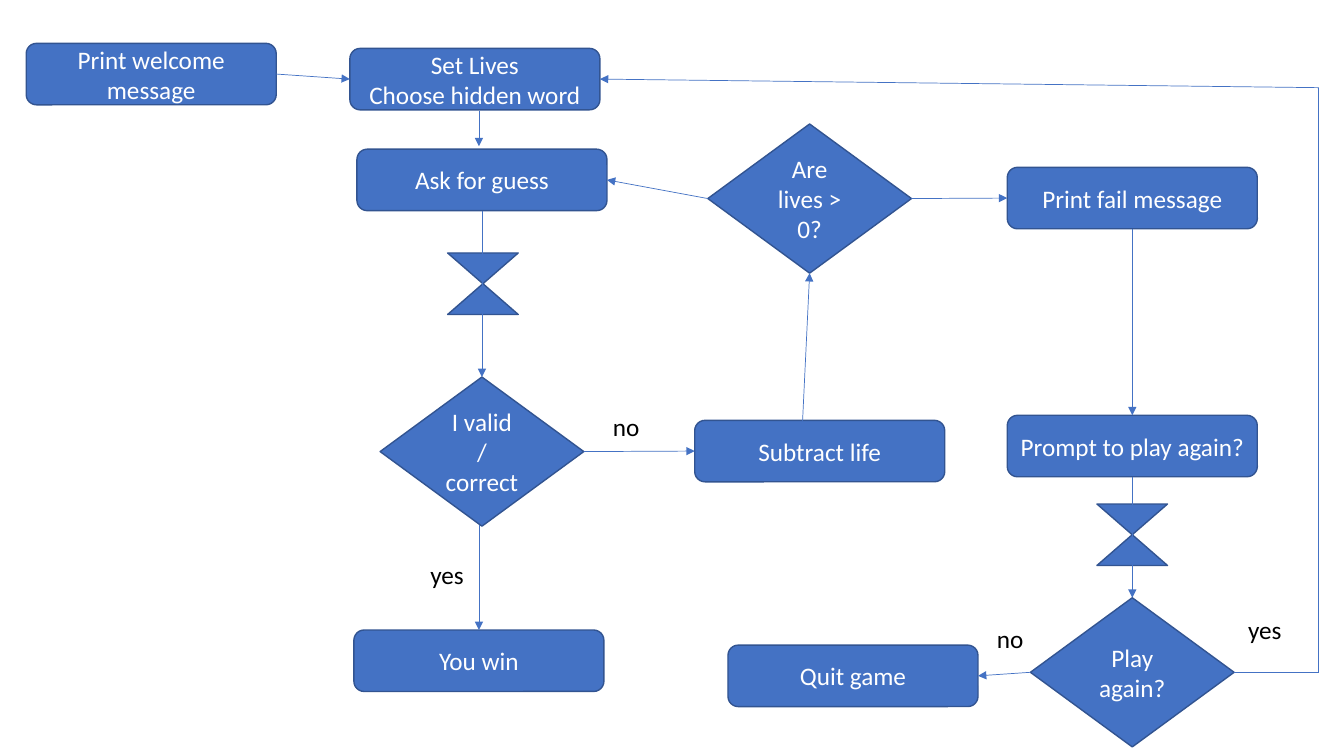
from lxml.etree import SubElement
from pptx import Presentation
from pptx.dml.color import RGBColor
from pptx.enum.shapes import MSO_CONNECTOR, MSO_SHAPE
from pptx.enum.text import MSO_ANCHOR, MSO_AUTO_SIZE, PP_ALIGN
from pptx.oxml.ns import qn
from pptx.util import Inches, Pt

BLUE, OUTLINE, WHITE, BLACK = "4472C4", "325491", "FFFFFF", "000000"
TOP, LEFT, BOTTOM, RIGHT = range(4)

KINDS = {
    "step": (MSO_SHAPE.FLOWCHART_ALTERNATE_PROCESS, 2.48, 0.61),
    "wait": (MSO_SHAPE.FLOWCHART_COLLATE, 0.7, 0.61),
    "decision": (MSO_SHAPE.FLOWCHART_DECISION, 2.02, 1.48),
}
NODES = {
    "welcome": ("step", 0.26, 0.43, ["Print welcome message"]),
    "setup": ("step", 3.47, 0.48, ["Set Lives", "Choose hidden word"]),
    "guess": ("step", 3.54, 1.48, ["Ask for guess"]),
    "guess wait": ("wait", 4.44, 2.51, []),
    "valid": ("decision", 3.77, 3.74, ["I valid", "/", "correct"]),
    "win": ("step", 3.51, 6.25, ["You win"]),
    "subtract": ("step", 6.89, 4.17, ["Subtract life"]),
    "lives": ("decision", 7.02, 1.23, ["Are lives > 0?"]),
    "fail": ("step", 9.99, 1.66, ["Print fail message"]),
    "prompt": ("step", 9.99, 4.12, ["Prompt to play again?"]),
    "prompt wait": ("wait", 10.88, 5, []),
    "again": ("decision", 10.22, 5.93, ["Play again?"]),
    "quit": ("step", 7.22, 6.4, ["Quit game"]),
}
LOOP_LOW, LOOP_HIGH = (13.08, 6.67), (13.08, 0.87)
ARROWS = [
    (("welcome", RIGHT), ("setup", LEFT)),
    ((4.75, 1.1), (4.75, 1.45)),
    (("guess", BOTTOM), ("valid", TOP)),
    ((4.75, 5.21), ("win", TOP)),
    (("valid", RIGHT), ("subtract", LEFT)),
    ((7.96, 4.18), ("lives", BOTTOM)),
    (("lives", LEFT), ("guess", RIGHT)),
    (("lives", RIGHT), ("fail", LEFT)),
    (("fail", BOTTOM), ("prompt", TOP)),
    (("prompt", BOTTOM), ("again", TOP)),
    (("again", LEFT), ("quit", RIGHT)),
    (LOOP_HIGH, ("setup", RIGHT)),
]
PLAIN_LINES = [(("again", RIGHT), LOOP_LOW), (LOOP_LOW, LOOP_HIGH)]
LABELS = [
    ("yes", 4.17, 5.5, 0.54),
    ("no", 5.98, 4.03, 0.47),
    ("yes", 12.28, 6.05, 0.54),
    ("no", 9.79, 6.13, 0.47),
]


def color(value):
    return RGBColor.from_string(value)


def write(frame, lines, fill=BLACK, align=PP_ALIGN.LEFT, anchor=MSO_ANCHOR.TOP, wrap=True):
    frame.word_wrap = wrap
    frame.vertical_anchor = anchor
    for index, line in enumerate(lines):
        paragraph = frame.add_paragraph() if index else frame.paragraphs[0]
        paragraph.alignment = align
        run = paragraph.add_run()
        run.text = line
        run.font.name = "Calibri"
        run.font.size = Pt(18)
        run.font.color.rgb = color(fill)


def add_node(kind, left, top, lines):
    preset, width, height = KINDS[kind]
    shape = slide.shapes.add_shape(preset, Inches(left), Inches(top), Inches(width), Inches(height))
    shape.shadow.inherit = False
    shape.fill.solid()
    shape.fill.fore_color.rgb = color(BLUE)
    shape.line.color.rgb = color(OUTLINE)
    shape.line.width = Pt(1)
    write(shape.text_frame, lines, fill=WHITE, align=PP_ALIGN.CENTER, anchor=MSO_ANCHOR.MIDDLE)
    return shape


def is_site(end):
    return end[0] in NODES


def add_line(start, end, arrow):
    points = [(0, 0) if is_site(place) else place for place in (start, end)]
    lengths = [Inches(value) for point in points for value in point]
    connector = slide.shapes.add_connector(MSO_CONNECTOR.STRAIGHT, *lengths)
    for place, connect in ((start, connector.begin_connect), (end, connector.end_connect)):
        if is_site(place):
            connect(shapes[place[0]], place[1])
    connector.line.color.rgb = color(BLUE)
    connector.line.width = Pt(0.5)
    if arrow:
        SubElement(connector.line._get_or_add_ln(), qn("a:tailEnd"), type="triangle")
    SubElement(connector._element.spPr, qn("a:effectLst"))


presentation = Presentation()
presentation.slide_width, presentation.slide_height = Inches(13.33), Inches(7.5)
slide = presentation.slides.add_slide(presentation.slide_layouts[6])

shapes = {name: add_node(*node) for name, node in NODES.items()}
for start, end in ARROWS:
    add_line(start, end, arrow=True)
for start, end in PLAIN_LINES:
    add_line(start, end, arrow=False)
for text, left, top, width in LABELS:
    label = slide.shapes.add_textbox(Inches(left), Inches(top), Inches(width), Inches(0.4))
    write(label.text_frame, [text], wrap=False)
    label.text_frame.auto_size = MSO_AUTO_SIZE.SHAPE_TO_FIT_TEXT

presentation.save("out.pptx")
